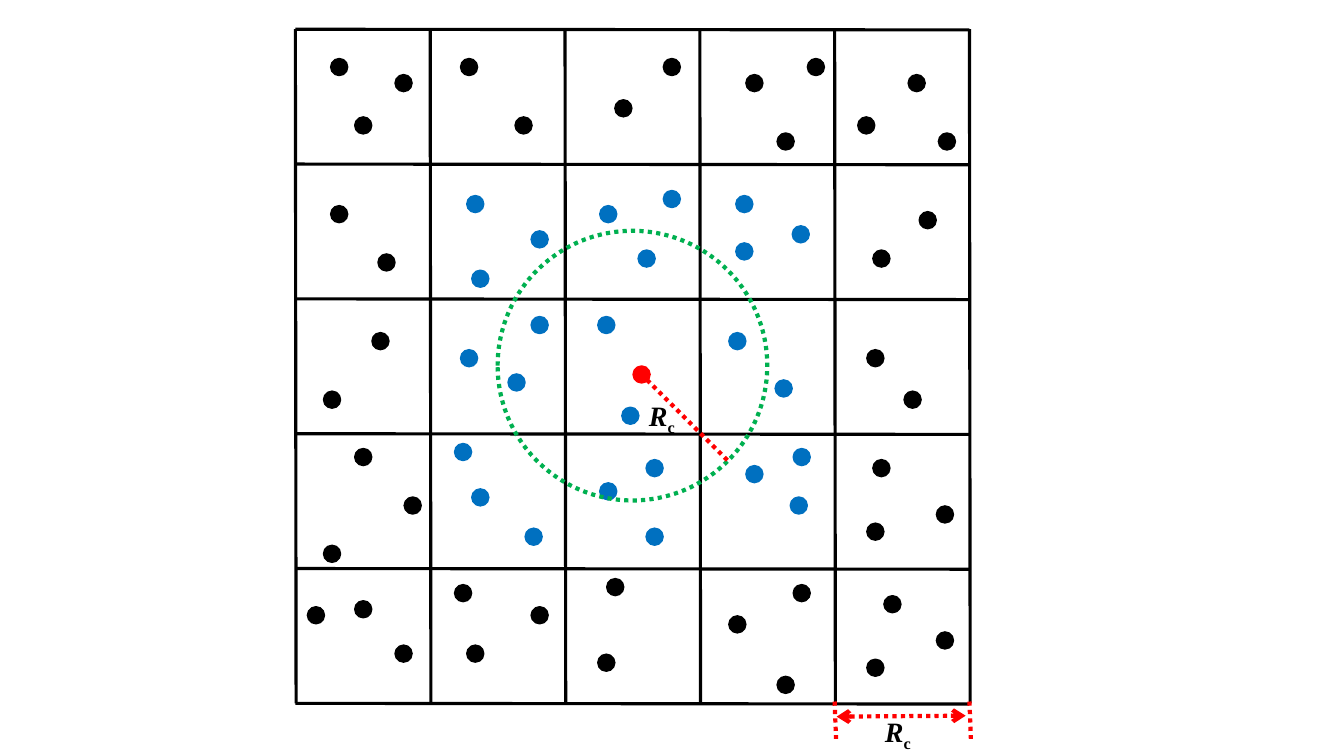
from lxml.etree import SubElement
from pptx import Presentation
from pptx.dml.color import RGBColor
from pptx.enum.dml import MSO_LINE_DASH_STYLE as Dash
from pptx.enum.shapes import MSO_CONNECTOR as Connector, MSO_SHAPE as Shape
from pptx.enum.text import MSO_AUTO_SIZE as AutoSize
from pptx.oxml.ns import qn
from pptx.util import Pt

BLACK = RGBColor(0x00, 0x00, 0x00)
BLUE = RGBColor(0x00, 0x70, 0xC0)
RED = RGBColor(0xFF, 0x00, 0x00)
GREEN = RGBColor(0x00, 0xB0, 0x50)

# Particle centres in points: one list per cell, five cells per row
PARTICLES = [
    [
        [(259.5, 89.6), (242.3, 47.9), (288.3, 59.4)],
        [(335.1, 47.9), (374, 89.6)],
        [(445.3, 77.4), (479.9, 47.9)],
        [(538.9, 59.4), (582.8, 47.9), (561.2, 101.1)],
        [(654.8, 59.4), (618.8, 89.6), (676.4, 101.1)],
    ],
    [
        [(242.3, 153), (276.1, 187.5)],
        [(339.5, 145.8), (343.1, 199.1), (385.5, 171)],
        [(434.5, 153), (479.9, 142.2), (461.9, 184.7)],
        [(531.7, 145.8), (531.7, 179.6), (572, 167.4)],
        [(629.6, 184.7), (662.7, 157.3)],
    ],
    [
        [(237.2, 285.5), (271.8, 243.7)],
        [(335.1, 255.9), (385.5, 232.2), (369, 273.2)],
        [(433.1, 232.2), (450.3, 297)],
        [(526.7, 243.7), (559.8, 277.5)],
        [(625.3, 255.9), (651.9, 285.5)],
    ],
    [
        [(259.5, 326.5), (294.8, 361.1), (237.2, 395.6)],
        [(343.1, 355.3), (381.2, 383.4), (330.8, 322.9)],
        [(434.5, 351), (467.6, 383.4), (467.6, 334.4)],
        [(538.9, 338.7), (570.6, 361.1), (572.7, 326.5)],
        [(629.6, 334.4), (625.3, 379.8), (675, 367.5)],
    ],
    [
        [(259.5, 435.2), (225.7, 439.5), (288.3, 466.9)],
        [(330.8, 423.7), (385.5, 439.5), (339.5, 466.9)],
        [(439.5, 419.4), (433.1, 473.4)],
        [(526.7, 446), (561.2, 489.2), (572.7, 423.7)],
        [(637.5, 431.6), (675, 457.5), (625.3, 477)],
    ],
]
CENTRAL_PARTICLE = (458.3, 267.5)
LABEL_CORNERS = [(456.5, 280.8), (625, 506.9)]
LABEL_SIZE = (38.2, 26.6)

CELLS = 5
CELL = 96.3
LEFT, TOP = 211, 20.9
RIGHT, BOTTOM = LEFT + CELLS * CELL, TOP + CELLS * CELL
TILT = 0.5
DOT_RADIUS = 6.1

presentation = Presentation()
presentation.slide_width, presentation.slide_height = Pt(960), Pt(540)
slide = presentation.slides.add_slide(presentation.slide_layouts[6])


def add_line(start, end, color, width, dotted=False, arrows=False):
    line = slide.shapes.add_connector(
        Connector.STRAIGHT, *(Pt(length) for length in (*start, *end)))
    line.line.color.rgb = color
    line.line.width = Pt(width)
    if dotted:
        line.line.dash_style = Dash.ROUND_DOT
    if arrows:
        outline = line.line._get_or_add_ln()
        for tag in ("a:headEnd", "a:tailEnd"):
            SubElement(outline, qn(tag), type="arrow")
    SubElement(line._element.spPr, qn("a:effectLst"))


def add_circle(centre, radius, color, width=1, filled=True):
    x, y = centre
    circle = slide.shapes.add_shape(
        Shape.OVAL, Pt(x - radius), Pt(y - radius), Pt(2 * radius), Pt(2 * radius))
    circle.shadow.inherit = False
    circle.line.color.rgb = color
    circle.line.width = Pt(width)
    if filled:
        circle.fill.solid()
        circle.fill.fore_color.rgb = color
    else:
        circle.fill.background()
        circle.line.dash_style = Dash.ROUND_DOT


def add_radius_label(corner):
    box = slide.shapes.add_textbox(*(Pt(length) for length in corner + LABEL_SIZE))
    frame = box.text_frame
    frame.word_wrap = True
    frame.auto_size = AutoSize.SHAPE_TO_FIT_TEXT
    paragraph = frame.paragraphs[0]
    paragraph.font.name = "Times New Roman"
    paragraph.font.size = Pt(20)
    paragraph.font.bold = True
    paragraph.font.color.rgb = BLACK
    symbol, subscript = paragraph.add_run(), paragraph.add_run()
    symbol.text, subscript.text = "R", "c"
    symbol.font.italic = True
    subscript.font._element.set("baseline", "-25000")


for index in range(CELLS + 1):
    y = TOP + index * CELL
    add_line((LEFT, y), (RIGHT, y + TILT), BLACK, 2.25)
for index in range(CELLS + 1):
    x = LEFT + index * CELL
    add_line((x, TOP), (x + TILT, BOTTOM), BLACK, 2.25)

inner = range(1, CELLS - 1)
for row, cells in enumerate(PARTICLES):
    for column, centres in enumerate(cells):
        color = BLUE if row in inner and column in inner else BLACK
        for centre in centres:
            add_circle(centre, DOT_RADIUS, color)
add_circle(CENTRAL_PARTICLE, DOT_RADIUS, RED)

add_circle(((LEFT + RIGHT) / 2, (TOP + BOTTOM) / 2 - TILT), CELL, GREEN, 3, filled=False)
add_line((462.2, 271.4), (519.8, 329), RED, 3, dotted=True)

for x in (RIGHT - CELL, RIGHT):
    add_line((x, 501.1), (x + 1, 527.8), RED, 3, dotted=True)
add_line((597.6, 511.9), (689.8, 511.2), RED, 3, dotted=True, arrows=True)

for corner in LABEL_CORNERS:
    add_radius_label(corner)

presentation.save("out.pptx")
